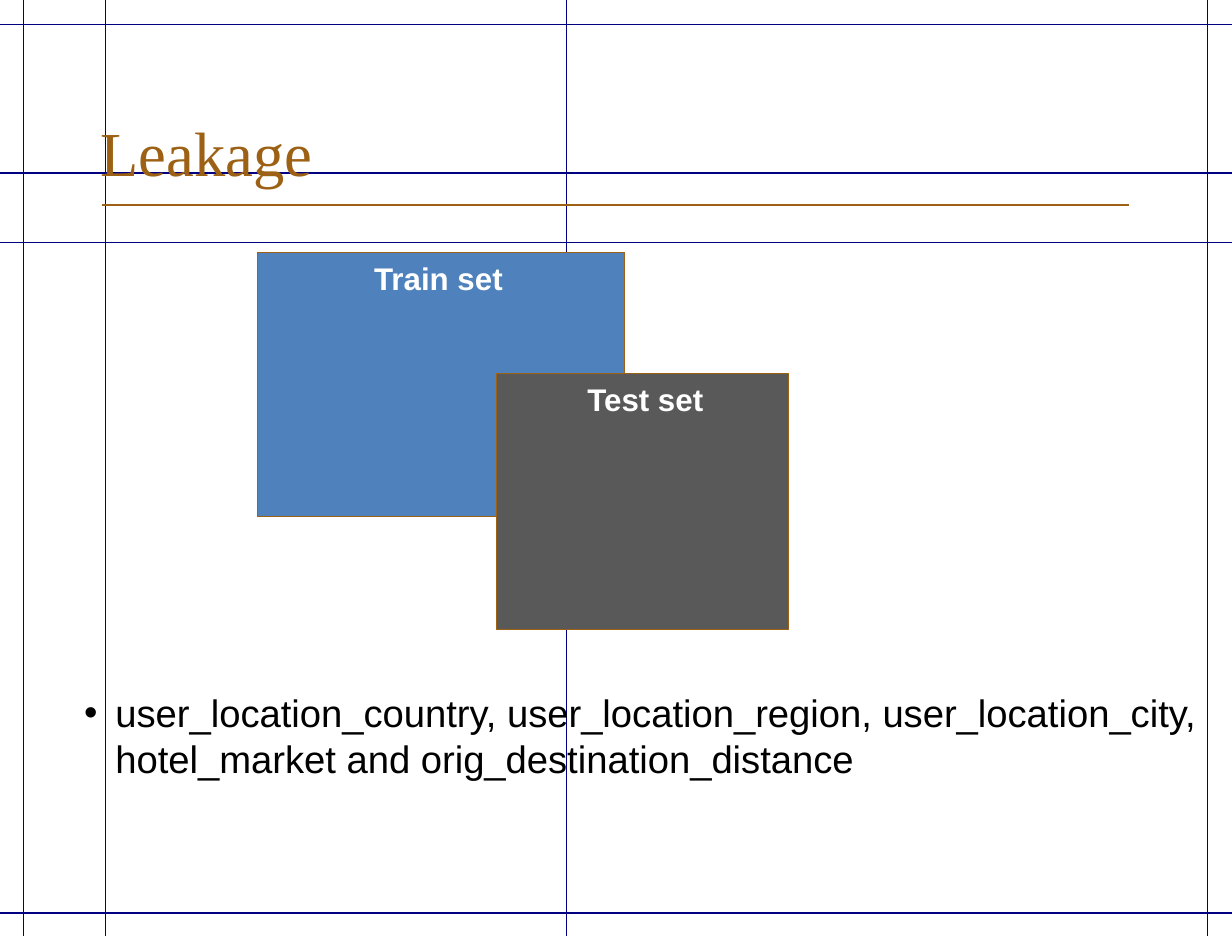
from pptx import Presentation
from pptx.dml.color import RGBColor
from pptx.enum.shapes import MSO_CONNECTOR as Connector, MSO_SHAPE as Shape
from pptx.enum.text import MSO_ANCHOR as Anchor, PP_ALIGN as Align
from pptx.oxml.ns import qn
from pptx.util import Pt
from lxml.etree import SubElement

COLORS = {
    "guide": "000080",
    "accent": "9C6114",
    "train": "4F81BD",
    "test": "595959",
    "white": "FFFFFF",
    "black": "000000",
}
WIDTH, HEIGHT = 708.66, 538.58
OVERHANG_X, OVERHANG_Y = 9, 5.5
GUIDE_ROWS = (139.5, 13.9, 99.6, 525.4)
GUIDE_COLUMNS = (13.7, 694.6, 326, 60.5)


def rgb(name):
    return RGBColor.from_string(COLORS[name])


def add_line(page, start, end, color):
    line = page.shapes.add_connector(
        Connector.STRAIGHT, *(Pt(value) for value in (*start, *end)))
    line.line.color.rgb = rgb(color)
    line.line.width = Pt(0.75)
    SubElement(line._element.spPr, qn("a:effectLst"))


def write(shape, text, size, font, color, anchor=Anchor.TOP, bold=False):
    """Fill the shape with one left-aligned run and return its paragraph."""
    frame = shape.text_frame
    frame.word_wrap = True
    frame.vertical_anchor = anchor
    para = frame.paragraphs[0]
    para.alignment = Align.LEFT
    span = para.add_run()
    span.text = text
    span.font.size = Pt(size)
    span.font.name = font
    span.font.bold = bold
    span.font.color.rgb = rgb(color)
    return para


def indent(para, margin, first=0):
    props = para._p.get_or_add_pPr()
    props.set("marL", str(Pt(margin)))
    props.set("indent", str(Pt(first)))
    return props


def add_guides(page, width, height):
    for y in GUIDE_ROWS:
        add_line(page, (-OVERHANG_X, y), (width + OVERHANG_X, y), "guide")
    for x in GUIDE_COLUMNS:
        add_line(page, (x, -OVERHANG_Y), (x, height + OVERHANG_Y), "guide")


def add_title(page, left, top, width, height, text):
    """Place the title at the foot of its box, with a rule below it."""
    rule_y = top + height + 5.6
    add_line(page, (left + 8.2, rule_y), (left + width, rule_y), "accent")
    box = page.shapes.add_textbox(Pt(left), Pt(top), Pt(width), Pt(height))
    write(box, text, 36, "Times New Roman", "accent", Anchor.BOTTOM)


def add_data_set(page, left, top, width, height, label, fill, margin):
    box = page.shapes.add_shape(
        Shape.RECTANGLE, Pt(left), Pt(top), Pt(width), Pt(height))
    box.shadow.inherit = False
    box.fill.solid()
    box.fill.fore_color.rgb = rgb(fill)
    box.line.color.rgb = rgb("accent")
    box.line.width = Pt(0.75)
    indent(write(box, label, 18, "Arial", "white", bold=True), margin)


def add_bullet(page, left, top, width, height, text):
    box = page.shapes.add_textbox(Pt(left), Pt(top), Pt(width), Pt(height))
    para = write(box, text, 22, "Arial", "black")
    para.space_before = Pt(10)
    props = indent(para, 18, -18)
    SubElement(props, qn("a:buFont"), typeface="Arial")
    SubElement(props, qn("a:buChar"), char="•")


def main():
    deck = Presentation()
    deck.slide_width, deck.slide_height = Pt(WIDTH), Pt(HEIGHT)
    page = deck.slides.add_slide(deck.slide_layouts[6])
    add_guides(page, WIDTH, HEIGHT)
    add_title(page, 50.7, 22.3, 599, 90, "Leakage")
    add_data_set(page, 148.1, 145.4, 211.2, 151.7, "Train set", "train", 60)
    add_data_set(page, 285.8, 215.1, 167.8, 147, "Test set", "test", 45)
    add_bullet(page, 41.3, 392.9, 656.6, 69.1,
               "user_location_country, user_location_region, user_location_city, "
               "hotel_market and orig_destination_distance")
    deck.save("out.pptx")


if __name__ == "__main__":
    main()
